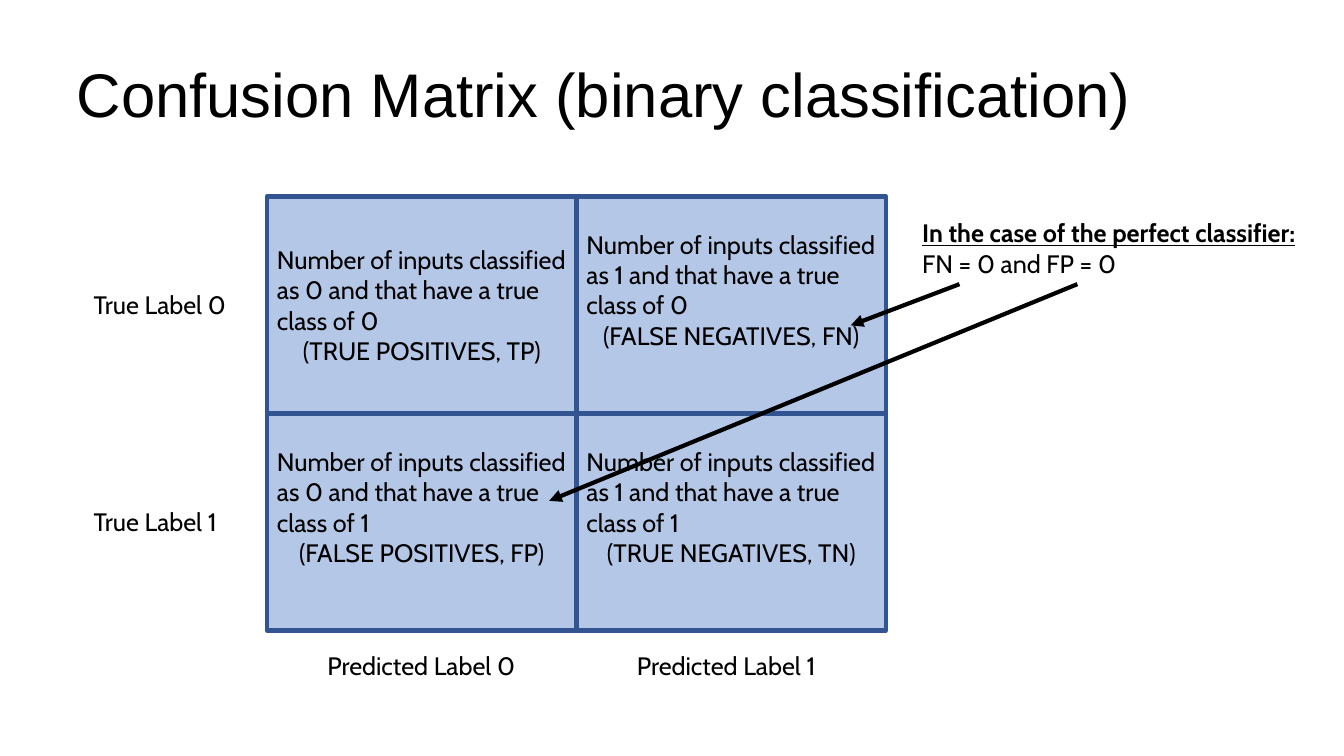
import pptx
import pptx.util
import pptx.dml.color
import pptx.enum.shapes
import pptx.enum.text
import pptx.oxml
import pptx.oxml.ns

Cm, Pt = pptx.util.Cm, pptx.util.Pt
ALIGN, ANCHOR = pptx.enum.text.PP_ALIGN, pptx.enum.text.MSO_ANCHOR

# Content
TITLE = "Confusion Matrix (binary classification)"
CELLS = [  # row, column, outcome, space kept free under the text (cm)
    (0, 0, "(TRUE POSITIVES, TP)", 0),
    (0, 1, "(FALSE NEGATIVES, FN)", 0.76),
    (1, 0, "(FALSE POSITIVES, FP)", 0.76),
    (1, 1, "(TRUE NEGATIVES, TN)", 0.76),
]
CELL_TEXT = "Number of inputs classified as {} and that have a true class of {}"
NOTE = ["In the case of the perfect classifier:", "FN = 0 and FP = 0"]
ARROWS = [  # from x, y, to x, y (cm)
    (24.18, 7.16, 21.44, 8.2),
    (27.15, 7.16, 13.84, 12.62),
]

# Layout (cm)
LEFT, TOP, CELL_W, CELL_H = 6.73, 4.95, 7.8, 5.47
TRUE_X, TRUE_W = 2.11, 3.84
PRED_Y, PRED_W = 16.26, 5.26
LABEL_H = 1.02


def color(hex_code):
    return pptx.dml.color.RGBColor.from_string(hex_code)


def add_run(p, text, size=18, font="Cabin", strong=False):
    r = p.add_run()
    r.text = text
    r.font.size, r.font.name = Pt(size), font
    r.font.color.rgb = color("000000")
    if strong:
        r.font.bold = r.font.underline = True


def add_text_box(x, y, w, h, wrap=True):
    tf = s.shapes.add_textbox(Cm(x), Cm(y), Cm(w), Cm(h)).text_frame
    tf.word_wrap = wrap
    return tf


def add_cell(row, col, outcome, space_below):
    sp = s.shapes.add_shape(
        pptx.enum.shapes.MSO_SHAPE.RECTANGLE,
        Cm(LEFT + col * CELL_W), Cm(TOP + row * CELL_H), Cm(CELL_W), Cm(CELL_H))
    sp.shadow.inherit = False
    sp.fill.solid()
    sp.fill.fore_color.rgb = color("B4C7E7")
    sp.line.color.rgb = color("325491")
    sp.line.width = Pt(3)
    tf = sp.text_frame
    tf.word_wrap = True
    tf.vertical_anchor = ANCHOR.MIDDLE
    tf.margin_bottom = Cm(0.13 + space_below)
    p = tf.paragraphs[0]
    p.alignment = ALIGN.LEFT
    add_run(p, CELL_TEXT.format(col, row))
    p = tf.add_paragraph()
    p.alignment = ALIGN.CENTER
    add_run(p, outcome)


def add_arrow(x1, y1, x2, y2):
    line = s.shapes.add_connector(
        pptx.enum.shapes.MSO_CONNECTOR.STRAIGHT, Cm(x1), Cm(y1), Cm(x2), Cm(y2))
    line.line.color.rgb = color("000000")
    line.line.width = Pt(3)
    ln = line.line._get_or_add_ln()
    ln.append(pptx.oxml.parse_xml(
        '<a:tailEnd %s type="triangle"/>' % pptx.oxml.ns.nsdecls("a")))
    ln.addnext(pptx.oxml.parse_xml("<a:effectLst %s/>" % pptx.oxml.ns.nsdecls("a")))


prs = pptx.Presentation()
prs.slide_width, prs.slide_height = Cm(33.87), Cm(19.05)
s = prs.slides.add_slide(prs.slide_layouts[6])

# Title
tf = add_text_box(1.68, 0.61, 29.21, 3.68)
tf.vertical_anchor = ANCHOR.MIDDLE
tf.paragraphs[0].line_spacing = 0.9
add_run(tf.paragraphs[0], TITLE, 44, "Arial")

# Matrix
for cell in CELLS:
    add_cell(*cell)

# Row and column labels, centred on their cells
for i in range(2):
    row_mid = TOP + (i + 0.5) * CELL_H
    col_mid = LEFT + (i + 0.5) * CELL_W
    tf = add_text_box(TRUE_X, row_mid - LABEL_H / 2, TRUE_W, LABEL_H, wrap=False)
    add_run(tf.paragraphs[0], f"True Label {i}")
    tf = add_text_box(col_mid - PRED_W / 2, PRED_Y, PRED_W, LABEL_H, wrap=False)
    add_run(tf.paragraphs[0], f"Predicted Label {i}")

# Note on the perfect classifier, with arrows to the error cells
tf = add_text_box(22.99, 5.36, 10.87, 1.8)
add_run(tf.paragraphs[0], NOTE[0], strong=True)
add_run(tf.add_paragraph(), NOTE[1])
for arrow in ARROWS:
    add_arrow(*arrow)

prs.save("out.pptx")
